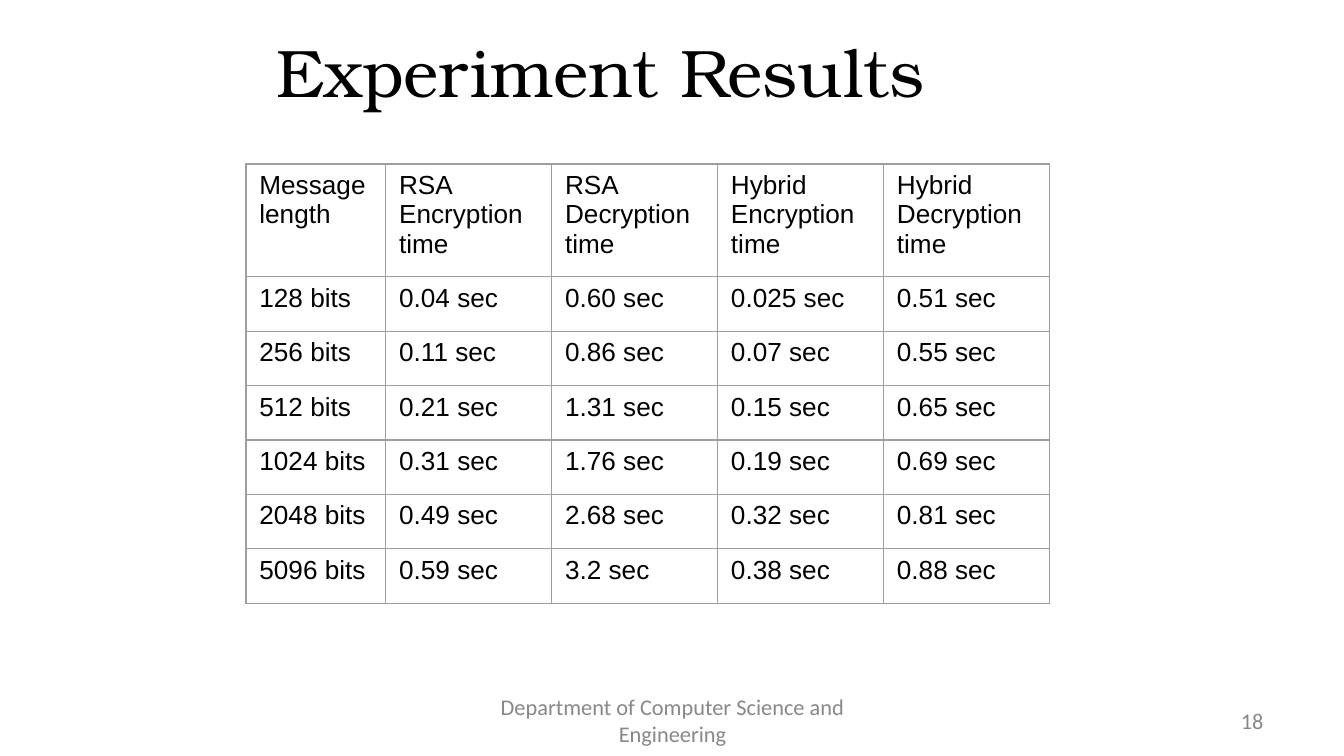
from pptx import Presentation
from pptx.dml.color import RGBColor as Rgb
from pptx.enum.text import MSO_ANCHOR as Anchor, PP_ALIGN as Align
from pptx.oxml import parse_xml
from pptx.oxml.ns import nsdecls
from pptx.util import Inches, Pt

# Content
TITLE = "Experiment Results"
FOOT = "Department of Computer Science and Engineering"
PAGE = "18"
HEAD = ["Message length", "RSA Encryption time", "RSA Decryption time",
        "Hybrid Encryption time", "Hybrid Decryption time"]
TIMES = [
    ("128", "0.04", "0.60", "0.025", "0.51"),
    ("256", "0.11", "0.86", "0.07", "0.55"),
    ("512", "0.21", "1.31", "0.15", "0.65"),
    ("1024", "0.31", "1.76", "0.19", "0.69"),
    ("2048", "0.49", "2.68", "0.32", "0.81"),
    ("5096", "0.59", "3.2", "0.38", "0.88"),
]
ROWS = [HEAD] + [[f"{bits} bits"] + [f"{t} sec" for t in rest]
                 for bits, *rest in TIMES]

# Theme
THEME = {
    "title": {"font": "TeX Gyre Bonum", "size": 36, "color": "000000"},
    "cell": {"font": "Arial", "size": 14, "color": "000000"},
    "foot": {"font": "Calibri", "size": 12, "color": "888888"},
    "line": "9E9E9E",
    "width": 0.75,
}

# Table grid: first column and row are fixed, the rest share what is left
LEFT, TOP, WIDE, HIGH = 1.83, 1.22, 5.98, 3.27


def split(total, first, count):
    return [first] + [(total - first) / count] * count


WIDTHS = split(WIDE, 1.04, len(HEAD) - 1)
HEIGHTS = split(HIGH, 0.84, len(TIMES))


def write(frame, text, font, size, color, align=Align.LEFT):
    frame.word_wrap = True
    para = frame.paragraphs[0]
    para.alignment = align
    run = para.add_run()
    run.text = text
    run.font.name = font
    run.font.size = Pt(size)
    run.font.color.rgb = Rgb.from_string(color)


def add_text(slide, box, text, style, align):
    frame = slide.shapes.add_textbox(*map(Inches, box)).text_frame
    frame.vertical_anchor = Anchor.MIDDLE
    write(frame, text, **THEME[style], align=align)


def add_edges(cell):
    props = cell._tc.get_or_add_tcPr()
    for i, side in enumerate(("lnL", "lnR", "lnT", "lnB")):
        # Borders must come before the cell's fill
        props.insert(i, parse_xml(
            f'<a:{side} {nsdecls("a")} w="{Pt(THEME["width"])}"><a:solidFill>'
            f'<a:srgbClr val="{THEME["line"]}"/></a:solidFill></a:{side}>'))


def add_grid(slide):
    box = map(Inches, (LEFT, TOP, WIDE, HIGH))
    grid = slide.shapes.add_table(len(ROWS), len(HEAD), *box).table
    grid.first_row = grid.horz_banding = False
    for col, width in zip(grid.columns, WIDTHS):
        col.width = Inches(width)
    for row, height, texts in zip(grid.rows, HEIGHTS, ROWS):
        row.height = Inches(height)
        for cell, text in zip(row.cells, texts):
            cell.fill.background()
            add_edges(cell)
            write(cell.text_frame, text, **THEME["cell"])


def main():
    deck = Presentation()
    deck.slide_width = Inches(10)
    deck.slide_height = Inches(10 * 9 / 16)  # 16:9
    slide = deck.slides.add_slide(deck.slide_layouts[6])

    # Title, table, footer
    add_text(slide, (1.12, 0.18, 6.69, 0.69), TITLE, "title", Align.CENTER)
    add_grid(slide)
    add_text(slide, (3.42, 5.21, 3.17, 0.3), FOOT, "foot", Align.CENTER)
    add_text(slide, (7.17, 5.21, 2.33, 0.3), PAGE, "foot", Align.RIGHT)
    deck.save("out.pptx")


if __name__ == "__main__":
    main()
